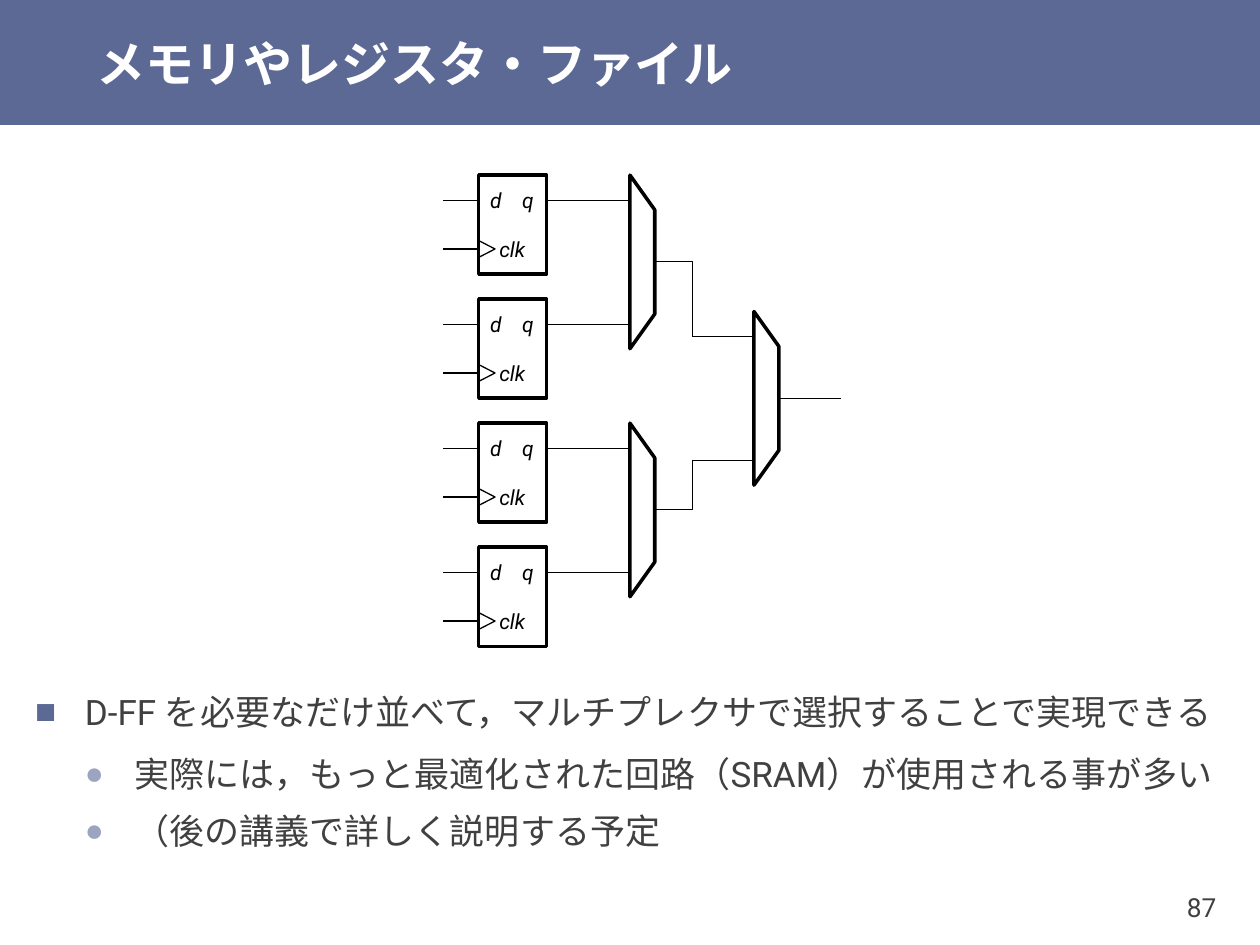
"""Build a slide on memories and register files made of D flip-flops and multiplexers."""
from lxml import etree
from pptx import Presentation
from pptx import util as u
from pptx.dml.color import RGBColor
from pptx.enum import shapes, text
from pptx.oxml import ns

NAVY = RGBColor(0x5C, 0x69, 0x94)
LAVENDER = RGBColor(0x9B, 0xA4, 0xC1)
GRAY = RGBColor(0x40, 0x40, 0x40)
BLACK = RGBColor(0, 0, 0)
WHITE = RGBColor(0xFF, 0xFF, 0xFF)
FONT = "Roboto"
LEFT, RIGHT = text.PP_ALIGN.LEFT, text.PP_ALIGN.RIGHT

FLIP_FLOP_TOP, FLIP_FLOP_PITCH = 3.53, 2.5
DATA_DROP, CLOCK_DROP = 0.51, 1.49
POINTS = [
    (0, "D-FF を必要なだけ並べて，マルチプレクサで選択することで実現できる"),
    (1, "実際には，もっと最適化された回路（SRAM）が使用される事が多い"),
    (1, "（後の講義で詳しく説明する予定"),
]
# level: bullet, colour, size in percent, left margin, space before, space after
LEVELS = {
    0: ("■", NAVY, 100, 1.0, 24, 6),
    1: ("●", LAVENDER, 90, 2.0, 3, 3),
}


def place(item, left, top, width, height):
    """Move and size an element, in centimetres."""
    item.left, item.top = u.Cm(left), u.Cm(top)
    item.width, item.height = u.Cm(width), u.Cm(height)


def add_run(paragraph, words, size, color, bold=False, italic=False):
    """Append one formatted run."""
    run = paragraph.add_run()
    run.text = words
    font = run.font
    font.name, font.size, font.bold, font.italic = FONT, u.Pt(size), bold, italic
    font.color.rgb = color


def set_frame(frame, wrap, horizontal, vertical):
    """Centre a text frame vertically and set its margins."""
    frame.auto_size = text.MSO_AUTO_SIZE.NONE
    frame.word_wrap = wrap
    frame.vertical_anchor = text.MSO_ANCHOR.MIDDLE
    frame.margin_left = frame.margin_right = u.Cm(horizontal)
    frame.margin_top = frame.margin_bottom = u.Cm(vertical)


def outline(item, width, fill=None):
    """Give a shape a black outline and an optional fill."""
    item.shadow.inherit = False
    if fill is None:
        item.fill.background()
    else:
        item.fill.solid()
        item.fill.fore_color.rgb = fill
    item.line.color.rgb = BLACK
    item.line.width = u.Pt(width)


def add_label(parent, words, box, align, size=12, color=BLACK, italic=True, margins=(0.25, 0.13)):
    """Add a short unwrapped text."""
    label = parent.add_textbox(*map(u.Cm, box))
    set_frame(label.text_frame, False, *margins)
    paragraph = label.text_frame.paragraphs[0]
    paragraph.alignment = align
    add_run(paragraph, words, size, color, italic=italic)


def add_wire(parent, start, end, y):
    """Add a horizontal wire."""
    wire = parent.add_connector(
        shapes.MSO_CONNECTOR.STRAIGHT, u.Cm(start), u.Cm(y), u.Cm(end), u.Cm(y))
    wire.line.color.rgb = BLACK
    wire.line.width = u.Pt(0.75)
    etree.SubElement(wire.element.spPr, ns.qn("a:effectLst"))


def add_path(parent, corners, width):
    """Add an open line through the given corners."""
    first, *rest = [(u.Cm(x), u.Cm(y)) for x, y in corners]
    builder = parent.build_freeform(*first)
    builder.add_line_segments(rest, close=False)
    outline(builder.convert_to_shape(), width)


def add_flip_flop(slide, top):
    """Add a grouped D flip-flop with its wires and labels."""
    parts = slide.shapes.add_group_shape().shapes
    data, clock = top + DATA_DROP, top + CLOCK_DROP
    add_wire(parts, 8.94, 11.71, data)
    body = parts.add_shape(
        shapes.MSO_SHAPE.RECTANGLE, u.Cm(9.65), u.Cm(top), u.Cm(1.37), u.Cm(2))
    outline(body, 2, WHITE)
    add_label(parts, "q", (10.32, data - 0.33, 0.69, 0.66), RIGHT)
    add_label(parts, "d", (9.63, data - 0.33, 0.69, 0.66), LEFT)
    add_path(parts, [(9.65, clock - 0.17), (9.98, clock), (9.65, clock + 0.17)], 0.75)
    add_wire(parts, 8.94, 9.63, clock)
    add_label(parts, "clk", (9.47, clock - 0.33, 1.37, 0.66), RIGHT)


def add_multiplexer(slide, center_x, center_y):
    """Add a multiplexer whose wide side faces left."""
    length, depth = 3.5, 0.5
    multiplexer = slide.shapes.add_shape(
        shapes.MSO_SHAPE.FLOWCHART_MANUAL_OPERATION,
        u.Cm(center_x - length / 2), u.Cm(center_y - depth / 2), u.Cm(length), u.Cm(depth))
    multiplexer.rotation = 270
    outline(multiplexer, 2, WHITE)


def add_circuit(slide):
    """Draw four flip-flops selected by a tree of multiplexers."""
    for row in range(4):
        top = FLIP_FLOP_TOP + row * FLIP_FLOP_PITCH
        add_flip_flop(slide, top)
        add_wire(slide.shapes, 11.71, 12.7, top + DATA_DROP)
    for source_y, target_y in ((5.28, 6.78), (10.28, 9.28)):
        add_multiplexer(slide, 12.95, source_y)
        add_path(slide.shapes, [(13.95, target_y), (13.95, source_y), (13.2, source_y)], 0.5)
        add_wire(slide.shapes, 13.95, 15.2, target_y)
    add_multiplexer(slide, 15.45, 8.03)
    add_wire(slide.shapes, 15.7, 16.95, 8.03)


def add_header(slide, words):
    """Fill the title placeholder and lay a band behind it."""
    title = slide.shapes.title
    place(title, 1.7, 0, 23.7, 2.52)
    set_frame(title.text_frame, True, 0.25, 0)
    heading = title.text_frame.paragraphs[0]
    heading.alignment = LEFT
    add_run(heading, words, 28, WHITE, bold=True)
    band = slide.shapes.add_shape(shapes.MSO_SHAPE.RECTANGLE, 0, 0, u.Cm(25.4), u.Cm(2.52))
    band.shadow.inherit = False
    band.fill.solid()
    band.fill.fore_color.rgb = NAVY
    band.line.fill.background()
    title.element.addprevious(band.element)


def set_bullet(paragraph, mark, color, percent, margin):
    """Give a paragraph a coloured bullet and a hanging indent."""
    props = paragraph._p.get_or_add_pPr()
    props.set("marL", str(u.Cm(margin)))
    props.set("indent", str(-u.Cm(1)))
    tint = etree.SubElement(props, ns.qn("a:buClr"))
    etree.SubElement(tint, ns.qn("a:srgbClr"), val=str(color))
    etree.SubElement(props, ns.qn("a:buSzPct"), val=str(percent * 1000))
    etree.SubElement(props, ns.qn("a:buChar"), char=mark)


def add_points(slide):
    """Fill the body placeholder with the bulleted points."""
    body = slide.placeholders[1]
    place(body, 0.46, 13.51, 24.74, 3.99)
    frame = body.text_frame
    set_frame(frame, True, 0.25, 0.13)
    for index, (level, words) in enumerate(POINTS):
        point = frame.add_paragraph() if index else frame.paragraphs[0]
        mark, color, percent, margin, before, after = LEVELS[level]
        point.level = level
        point.line_spacing = 1.1
        point.space_before, point.space_after = u.Pt(before), u.Pt(after)
        set_bullet(point, mark, color, percent, margin)
        add_run(point, words, 20, GRAY)


def main():
    """Build and save the slide."""
    deck = Presentation()
    deck.slide_width, deck.slide_height = u.Cm(25.4), u.Cm(19.05)
    slide = deck.slides.add_slide(deck.slide_layouts[1])
    add_header(slide, "メモリやレジスタ・ファイル")
    add_points(slide)
    add_circuit(slide)
    add_label(slide.shapes, "87", (22.7, 17.53, 2, 1.52), RIGHT,
              size=15, color=GRAY, italic=False, margins=(0.18, 0.1))
    deck.save("out.pptx")


if __name__ == "__main__":
    main()
